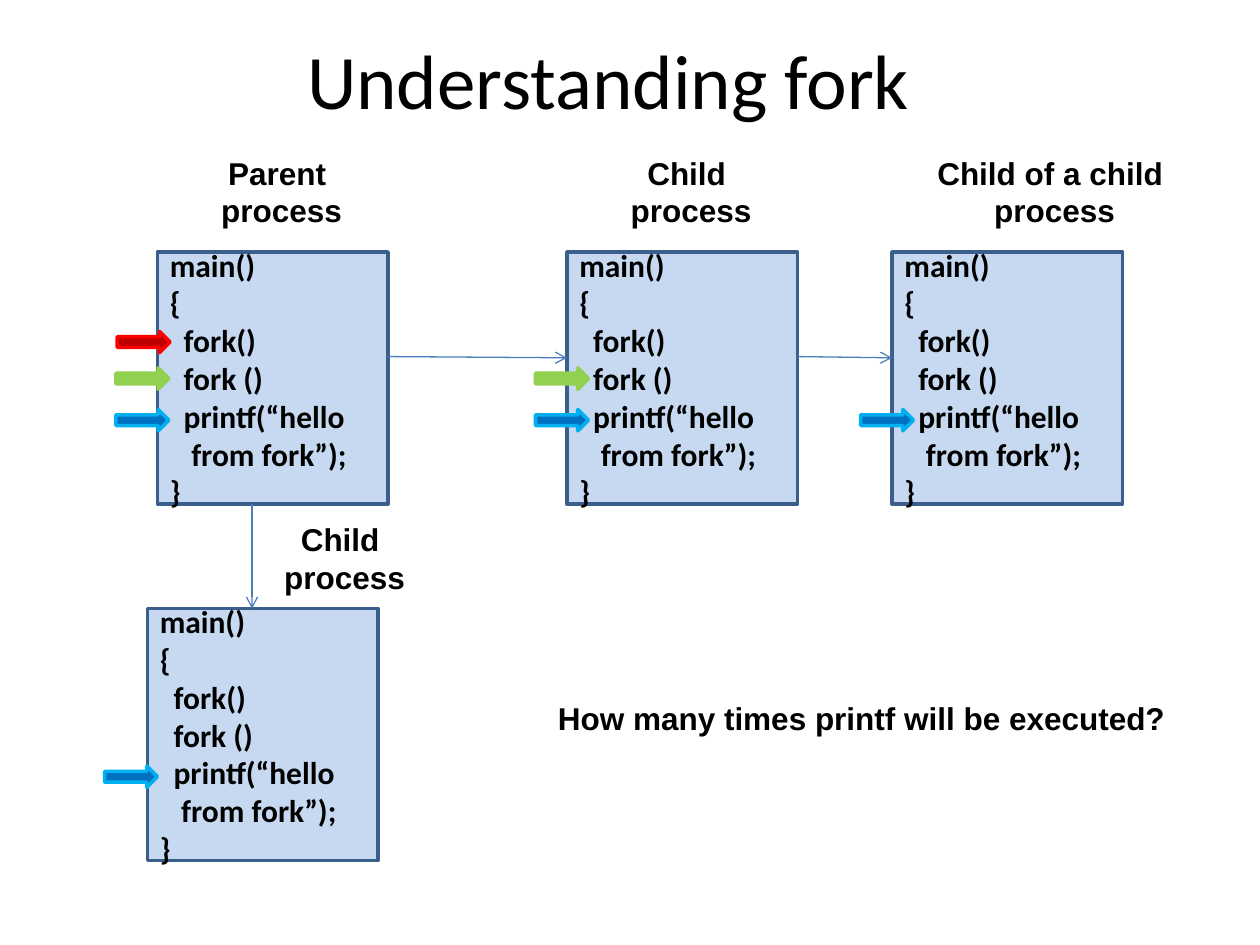
"""Build the slide that traces two fork calls through four processes."""
from lxml.etree import SubElement
from pptx import Presentation
from pptx.dml.color import RGBColor
from pptx.enum.shapes import MSO_CONNECTOR as CONN, MSO_SHAPE as SHAPE
from pptx.enum.text import MSO_ANCHOR as ANCHOR, MSO_AUTO_SIZE as FIT, PP_ALIGN as ALIGN
from pptx.oxml.ns import qn
from pptx.util import Inches, Pt

THEME = {
    "text": "000000", "box": "C6D9F1", "box_line": "3A5F8C", "connector": "4B7EBC",
    "red": ("C00000", "FF0000"), "green": ("92D050", "92D050"), "blue": ("0070C0", "00B0F0"),
    "title": {"name": "Calibri", "size": Pt(44)},
    "code": {"name": "Calibri", "size": Pt(18), "bold": True},
    "label": {"name": "Arial", "size": Pt(18), "bold": True},
}
CODE = [("main()", 0), ("{", 0), ("fork()", 0.11), ("fork ()", 0.11),
        ("printf(“hello", 0.11), ("from fork”);", 0.17), ("}", 0)]
BOX_W, BOX_H = 1.83, 2
BOXES = [(1.25, 2), (4.5, 2), (7.08, 2), (1.17, 4.83)]
LABELS = [
    (1.58, 1.17, 1.24, 0.71, ["Parent", " process"], ALIGN.CENTER),
    (4.83, 1.17, 1.24, 0.71, ["Child", " process"], ALIGN.CENTER),
    (7.33, 1.17, 2.01, 0.71, ["Child of a child", " process"], ALIGN.CENTER),
    (2.08, 4.08, 1.24, 0.71, ["Child", " process"], ALIGN.CENTER),
    (4.33, 5.5, 5.07, 0.4, ["How many times printf will be executed?"], ALIGN.LEFT),
]
POINTERS = [(0.93, 2.63, "red"), (0.92, 2.92, "green"), (4.25, 2.92, "green"),
            (0.92, 3.25, "blue"), (4.25, 3.25, "blue"), (6.83, 3.25, "blue"),
            (0.83, 6.08, "blue")]
FORKS = [(3.08, 2.83, 4.5, 2.84), (6.33, 2.83, 7.08, 2.84), (2, 4, 2, 4.83)]


def write(tf, lines, style, align):
    for i, text in enumerate(lines):
        p = tf.paragraphs[0] if i == 0 else tf.add_paragraph()
        p.alignment = align
        r = p.add_run()
        r.text = text
        for key, value in THEME[style].items():
            setattr(r.font, key, value)
        r.font.color.rgb = RGBColor.from_string(THEME["text"])


def add_block(kind, x, y, w, h, fill, line):
    sp = s.shapes.add_shape(kind, Inches(x), Inches(y), Inches(w), Inches(h))
    sp.shadow.inherit = False
    sp.fill.solid()
    sp.fill.fore_color.rgb = RGBColor.from_string(fill)
    sp.line.color.rgb = RGBColor.from_string(line)
    sp.line.width = Pt(2)
    return sp


prs = Presentation()
prs.slide_width, prs.slide_height = Inches(10), Inches(7.5)
s = prs.slides.add_slide(prs.slide_layouts[5])

title = s.shapes.title
for key, value in {"left": 0.33, "top": 0, "width": 9, "height": 1.25}.items():
    setattr(title, key, Inches(value))
title.text_frame.vertical_anchor = ANCHOR.MIDDLE
write(title.text_frame, ["Understanding fork"], "title", ALIGN.CENTER)

for x, y in BOXES:
    tf = add_block(SHAPE.RECTANGLE, x, y, BOX_W, BOX_H, THEME["box"], THEME["box_line"]).text_frame
    tf.vertical_anchor = ANCHOR.MIDDLE
    write(tf, [text for text, indent in CODE], "code", ALIGN.LEFT)
    for p, (text, indent) in zip(tf.paragraphs, CODE):
        p._p.get_or_add_pPr().set("marL", str(Inches(indent)))

for x, y, w, h, lines, align in LABELS:
    tf = s.shapes.add_textbox(Inches(x), Inches(y), Inches(w), Inches(h)).text_frame
    tf.word_wrap = False
    tf.auto_size = FIT.SHAPE_TO_FIT_TEXT
    write(tf, lines, "label", align)

for ends in FORKS:
    c = s.shapes.add_connector(CONN.STRAIGHT, *map(Inches, ends))
    c.line.color.rgb = RGBColor.from_string(THEME["connector"])
    c.line.width = Pt(0.75)
    SubElement(c.line._get_or_add_ln(), qn("a:tailEnd"), type="arrow")
    SubElement(c._element.spPr, qn("a:effectLst"))

for x, y, color in POINTERS:
    add_block(SHAPE.RIGHT_ARROW, x, y, 0.42, 0.17, *THEME[color])

prs.save("out.pptx")
